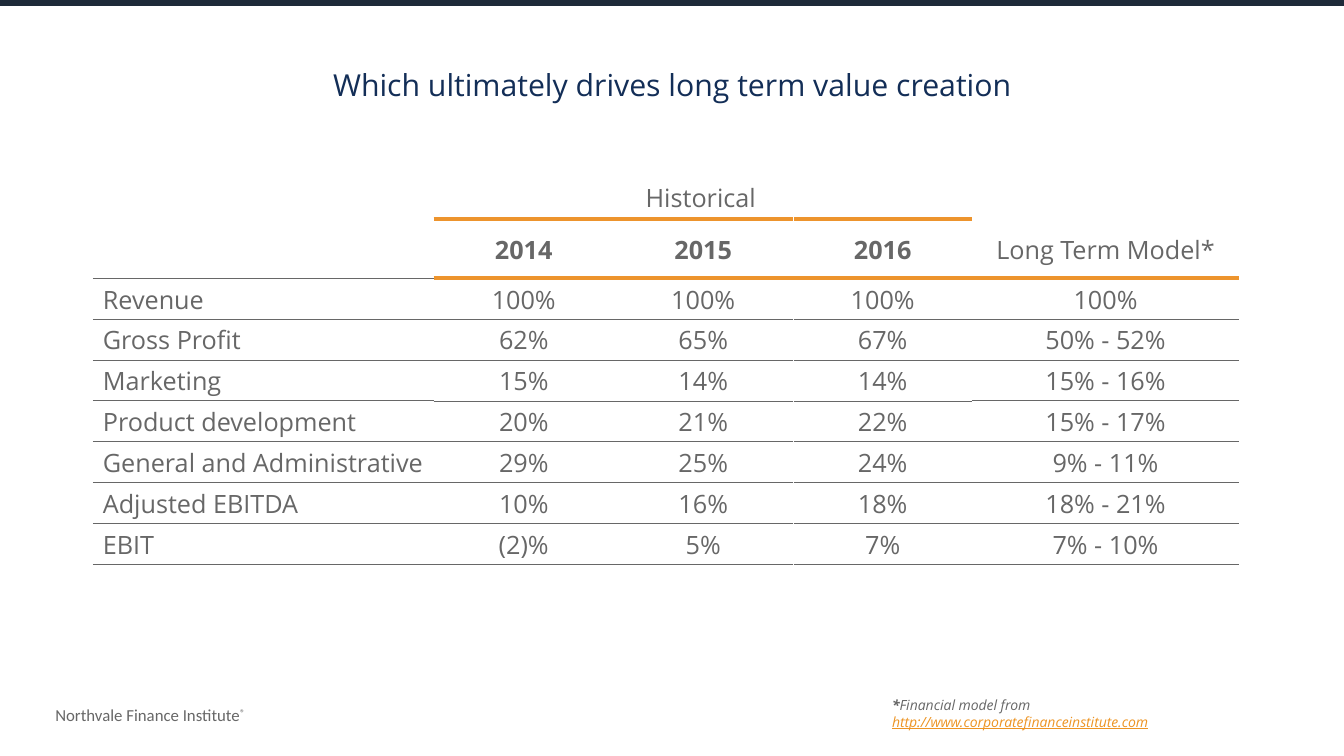
from lxml.etree import SubElement
from pptx import Presentation
from pptx.dml.color import RGBColor
from pptx.enum.shapes import MSO_SHAPE
from pptx.enum.text import MSO_ANCHOR, MSO_AUTO_SIZE, PP_ALIGN
from pptx.oxml.ns import qn
from pptx.util import Inches, Pt

DARK = RGBColor(0x1E, 0x2A, 0x39)
NAVY = RGBColor(0x13, 0x2E, 0x57)
GREY = RGBColor(0x67, 0x67, 0x67)
ORANGE = RGBColor(0xED, 0x94, 0x2D)
LINK = RGBColor(0xED, 0x94, 0x23)
WHITE = RGBColor(0xFF, 0xFF, 0xFF)

THIN = (GREY, 0.5)
THICK = (ORANGE, 3)
HEADING_TOP, YEAR_TOP = 1.75, 2.17
YEAR_HEIGHT = 0.59
ROW_HEIGHT = 2.84 / 7


def add_run(paragraph, text, size, color, name="Open Sans", bold=False, italic=False):
    run = paragraph.add_run()
    run.text = text
    font = run.font
    font.size, font.name, font.color.rgb = Pt(size), name, color
    font.bold, font.italic = bold, italic
    return run


def set_borders(cell, **borders):
    properties = cell._tc.get_or_add_tcPr()
    for side in "LRTB":
        line = SubElement(properties, qn(f"a:ln{side}"))
        if side in borders:
            color, width = borders[side]
            line.set("w", str(Pt(width)))
            fill = SubElement(line, qn("a:solidFill"))
            SubElement(fill, qn("a:srgbClr")).set("val", str(color))
        else:
            line.set("w", "0")
            SubElement(line, qn("a:noFill"))


presentation = Presentation()
presentation.slide_width = Inches(13.33)
presentation.slide_height = Inches(7.5)
slide = presentation.slides.add_slide(presentation.slide_layouts[5])

# Top bar
bar = slide.shapes.add_shape(MSO_SHAPE.RECTANGLE, 0, 0, Inches(13.33), Inches(0.05))
bar.shadow.inherit = False
bar.fill.solid()
bar.fill.fore_color.rgb = DARK
bar.line.color.rgb = DARK
bar.line.width = Pt(1)

# Title
title = slide.shapes.title
title.left, title.top = Inches(1.67), Inches(0.7)
title.width, title.height = Inches(10), Inches(0.37)
title.text_frame.auto_size = MSO_AUTO_SIZE.NONE
title.text_frame.vertical_anchor = MSO_ANCHOR.MIDDLE
paragraph = title.text_frame.paragraphs[0]
paragraph.alignment = PP_ALIGN.CENTER
paragraph.line_spacing = 0.7
add_run(paragraph, "Which ultimately drives long term value creation", 21.6, NAVY)

# Side-by-side tables: left, width, heading rows, values
columns = [
    (0.92, 3.38, ["", ""],
     ["Revenue", "Gross Profit", "Marketing", "Product development",
      "General and Administrative", "Adjusted EBITDA", "EBIT"]),
    (4.28, 5.34, ["Historical"], []),
    (4.3, 1.79, ["2014"], ["100%", "62%", "15%", "20%", "29%", "10%", "(2)%"]),
    (6.08, 1.79, ["2015"], ["100%", "65%", "14%", "21%", "25%", "16%", "5%"]),
    (7.87, 1.77, ["2016"], ["100%", "67%", "14%", "22%", "24%", "18%", "7%"]),
    (9.64, 2.65, ["", "Long Term Model*"],
     ["100%", "50% - 52%", "15% - 16%", "15% - 17%", "9% - 11%", "18% - 21%", "7% - 10%"]),
]
for left, width, headings, values in columns:
    is_label = values[:1] == ["Revenue"]
    is_year = headings[0].isdigit()
    top = YEAR_TOP if is_year else HEADING_TOP
    heights = [ROW_HEIGHT] * len(values)
    if values:
        heights.insert(0, YEAR_HEIGHT)
    if not is_year:
        heights.insert(0, YEAR_TOP - HEADING_TOP)
    table = slide.shapes.add_table(
        len(heights), 1, Inches(left), Inches(top), Inches(width), Inches(sum(heights))).table
    table.first_row = False
    table.horz_banding = False
    header_line = THIN if is_label else THICK
    last_heading = len(headings) - 1

    for index, (text, height) in enumerate(zip(headings + values, heights)):
        table.rows[index].height = Inches(height)
        cell = table.cell(index, 0)
        cell.margin_top, cell.margin_bottom = Inches(0.04), Inches(0.02)
        cell.margin_right = Inches(0.05 if is_label else 0.1)
        borders = {}
        if values and index == last_heading:
            borders["B"] = header_line
            if is_year:
                borders["T"] = THICK
            if text == "2016":
                borders["L"] = (WHITE, 1)
        elif index > last_heading:
            borders = {"T": header_line if index == last_heading + 1 else THIN, "B": THIN}
        set_borders(cell, **borders)
        cell.fill.background()
        if height == YEAR_HEIGHT:
            cell.vertical_anchor = MSO_ANCHOR.MIDDLE
        if text:
            paragraph = cell.text_frame.paragraphs[0]
            paragraph.alignment = PP_ALIGN.LEFT if is_label else PP_ALIGN.CENTER
            add_run(paragraph, text, 18, GREY, bold=text.isdigit())

# Footer
footer = slide.shapes.add_textbox(Inches(0.45), Inches(6.94), Inches(2.19), Inches(0.3))
paragraph = footer.text_frame.paragraphs[0]
add_run(paragraph, "Northvale Finance Institute", 12, GREY, "Calibri")
mark = add_run(paragraph, "®", 12, GREY, "Calibri")
mark._r.get_or_add_rPr().set("baseline", "30000")

# Footnote
footnote = slide.shapes.add_textbox(Inches(8.75), Inches(6.86), Inches(4.04), Inches(0.27))
footnote.text_frame.word_wrap = True
paragraph = footnote.text_frame.paragraphs[0]
add_run(paragraph, "*", 10, GREY, bold=True, italic=True)
add_run(paragraph, "Financial model from", 10, GREY, italic=True)
paragraph.add_line_break()
address = add_run(paragraph, "http://www.corporatefinanceinstitute.com", 10, LINK, italic=True)
address.font.underline = True

presentation.save("out.pptx")
